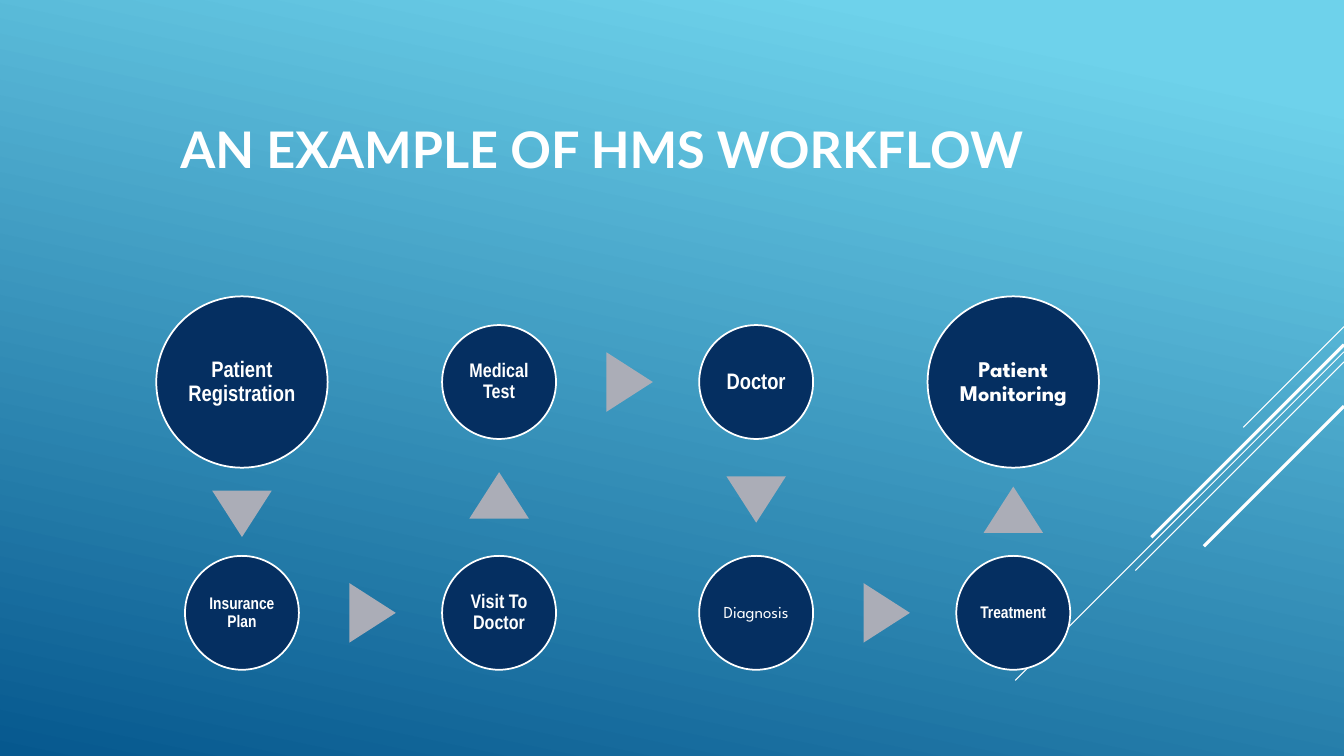
from dataclasses import dataclass
from itertools import pairwise
from math import atan2, degrees

from lxml.etree import SubElement
from pptx import Presentation
from pptx.dml.color import RGBColor
from pptx.enum.shapes import MSO_CONNECTOR, MSO_SHAPE
from pptx.enum.text import MSO_ANCHOR, PP_ALIGN
from pptx.oxml.ns import qn
from pptx.shapes.autoshape import Shape
from pptx.slide import Slide
from pptx.util import Inches, Pt

WHITE = RGBColor(0xFF, 0xFF, 0xFF)
NAVY = RGBColor(0x05, 0x2F, 0x61)
GREY = RGBColor(0xAB, 0xAD, 0xB7)
SKY = RGBColor(0x6E, 0xD2, 0xEB)
OCEAN = RGBColor(0x06, 0x58, 0x8E)

WIDTH, HEIGHT = 13.33, 7.5
LEFT, PITCH = 2.4, 2.55
ROWS = (3.79, 6.08)
BIG, SMALL = 1.7, 1.13
BASE, TALL, NUDGE = 0.59, 0.46, 0.02


@dataclass(frozen=True)
class Step:
    """A stage of the workflow, placed by column and row."""
    label: str
    col: int
    row: int
    size: int
    width: float = SMALL
    font: str = "Arial Narrow"
    bold: bool = True

    @property
    def mid(self) -> tuple[float, float]:
        """Return the centre of the circle."""
        return LEFT + PITCH * self.col, ROWS[self.row]


@dataclass(frozen=True)
class Streak:
    """A diagonal line that falls leftward from the right edge."""
    top: float
    run: float
    weight: float = 0.75


STEPS = (
    Step("Patient Registration", 0, 0, 16, BIG),
    Step("Insurance Plan", 0, 1, 12),
    Step("Visit To Doctor", 1, 1, 14),
    Step("Medical Test", 1, 0, 14),
    Step("Doctor", 2, 0, 16),
    Step("Diagnosis", 2, 1, 12, font="League Spartan", bold=False),
    Step("Treatment", 3, 1, 12),
    Step("Patient Monitoring", 3, 0, 16, BIG, "League Spartan"),
)
STREAKS = (
    Streak(3.24, 1),
    Streak(3.49, 3.26),
    Streak(3.59, 2.07),
    Streak(3.42, 1.91, 2.25),
    Streak(4.03, 1.39, 2.25),
)


def write(shape: Shape, text: str, *, size: int, font: str, bold: bool = True,
          align: PP_ALIGN = PP_ALIGN.CENTER, inset: float = 0.02) -> None:
    """Fill a shape with one formatted, vertically centred paragraph."""
    frame = shape.text_frame
    frame.word_wrap = True
    frame.vertical_anchor = MSO_ANCHOR.MIDDLE
    frame.margin_left = Inches(inset)
    frame.margin_right = frame.margin_top = frame.margin_bottom = Inches(0.02)
    para = frame.paragraphs[0]
    para.alignment = align
    para.line_spacing = 0.9
    run = para.add_run()
    run.text = text
    run.font.size = Pt(size)
    run.font.name = font
    run.font.bold = bold
    run.font.color.rgb = WHITE


def place(slide: Slide, kind: MSO_SHAPE, mid: tuple[float, float],
          width: float, height: float, fill: RGBColor) -> Shape:
    """Add a flat shape around its centre."""
    x, y = mid
    shape = slide.shapes.add_shape(
        kind, Inches(x - width / 2), Inches(y - height / 2), Inches(width), Inches(height))
    shape.shadow.inherit = False
    shape.fill.solid()
    shape.fill.fore_color.rgb = fill
    shape.line.fill.background()
    return shape


def paint(slide: Slide) -> None:
    """Give the slide its gradient background."""
    fill = slide.background.fill
    fill.gradient()
    fill.gradient_angle = 258
    for stop, (spot, tint) in zip(fill.gradient_stops, ((0.1, SKY), (1, OCEAN))):
        stop.position = spot
        stop.color.rgb = tint


def streak(slide: Slide, item: Streak) -> None:
    """Draw one diagonal line."""
    line = slide.shapes.add_connector(
        MSO_CONNECTOR.STRAIGHT, Inches(WIDTH), Inches(item.top),
        Inches(WIDTH - item.run), Inches(item.top + item.run))
    line.line.color.rgb = WHITE
    line.line.width = Pt(item.weight)
    SubElement(line.element.spPr, qn("a:effectLst"))


def circle(slide: Slide, step: Step) -> None:
    """Draw a step with its label."""
    shape = place(slide, MSO_SHAPE.OVAL, step.mid, step.width, step.width, NAVY)
    shape.line.color.rgb = WHITE
    shape.line.width = Pt(1.25)
    write(shape, step.label, size=step.size, font=step.font, bold=step.bold)


def arrow(slide: Slide, start: Step, end: Step) -> None:
    """Point from one step to the next, amid the gap between them."""
    (ax, ay), (bx, by) = start.mid, end.mid
    dx, dy = end.col - start.col, end.row - start.row
    shift = (start.width - end.width) / 4 + NUDGE
    mid = (ax + bx) / 2 + dx * shift, (ay + by) / 2 + dy * shift
    shape = place(slide, MSO_SHAPE.ISOSCELES_TRIANGLE, mid, BASE, TALL, GREY)
    shape.rotation = degrees(atan2(dx, -dy))


def main() -> None:
    """Build and save the slide."""
    deck = Presentation()
    deck.slide_width, deck.slide_height = Inches(WIDTH), Inches(HEIGHT)
    slide = deck.slides.add_slide(deck.slide_layouts[6])
    paint(slide)
    for item in STREAKS:
        streak(slide, item)
    title = slide.shapes.add_textbox(Inches(1.56), Inches(0.68), Inches(9.33), Inches(1.65))
    write(title, "AN EXAMPLE OF HMS WORKFLOW", size=36, font="Lato",
          align=PP_ALIGN.LEFT, inset=0.23)
    for step in STEPS:
        circle(slide, step)
    for start, end in pairwise(STEPS):
        arrow(slide, start, end)
    deck.save("out.pptx")


main()
